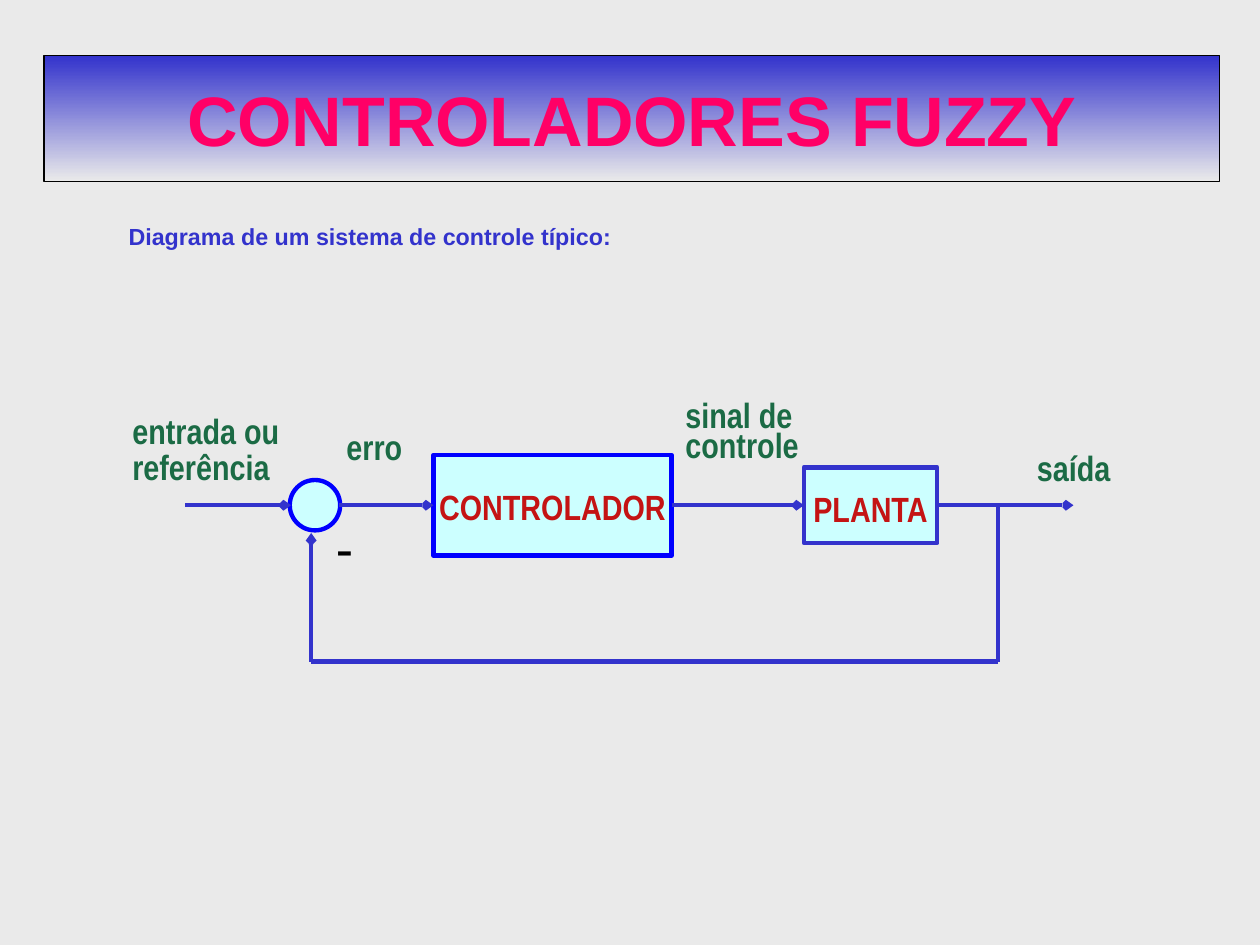
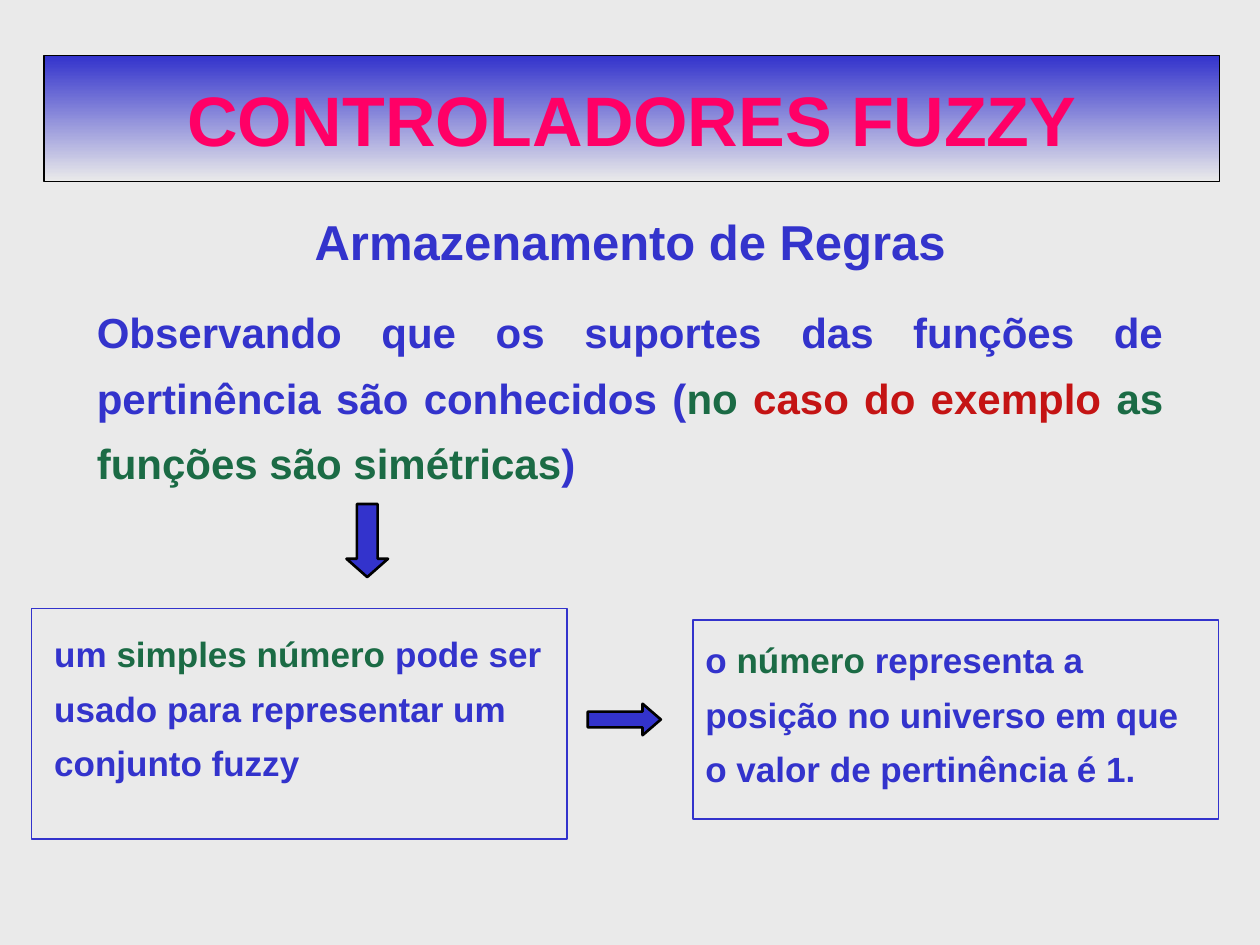
from pptx import Presentation
from pptx.dml.color import RGBColor
from pptx.enum.shapes import MSO_CONNECTOR, MSO_SHAPE
from pptx.enum.text import MSO_ANCHOR, MSO_AUTO_SIZE, PP_ALIGN
from pptx.oxml.ns import qn
from pptx.util import Inches, Pt
from lxml.etree import SubElement

GRAY = RGBColor(0xEA, 0xEA, 0xEA)
BLUE = RGBColor(0x33, 0x33, 0xCC)
BRIGHT_BLUE = RGBColor(0x00, 0x00, 0xFF)
PALE_CYAN = RGBColor(0xCC, 0xFF, 0xFF)
PINK = RGBColor(0xFF, 0x00, 0x66)
RED = RGBColor(0xC4, 0x14, 0x14)
GREEN = RGBColor(0x1B, 0x6B, 0x45)
BLACK = RGBColor(0x00, 0x00, 0x00)

BODY_FONT = "Arial"
DIAGRAM_FONT = "Arial Narrow"
TITLE_AND_BODY, TITLE_ONLY = 1, 5
LEFT, RIGHT = 1, 3
SIGNAL_Y = 4.01
FEEDBACK_Y = 5.25
FEEDBACK_LEFT, FEEDBACK_RIGHT = 2.47, 7.92


def place(shape, left, top, width, height):
    shape.left, shape.top = Inches(left), Inches(top)
    shape.width, shape.height = Inches(width), Inches(height)


def set_insets(frame, left, top, right, bottom):
    frame.margin_left, frame.margin_top = Inches(left), Inches(top)
    frame.margin_right, frame.margin_bottom = Inches(right), Inches(bottom)


def set_font(paragraph, size, color=None, name=BODY_FONT):
    font = paragraph.font
    font.name, font.size, font.bold = name, Pt(size), True
    if color is not None:
        font.color.rgb = color


def indent(paragraph, left):
    properties = paragraph._p.get_or_add_pPr()
    properties.set("marL", str(Inches(left)))
    properties.set("indent", "0")
    return properties


def add_spans(paragraph, spans):
    for text, color in spans:
        span = paragraph.add_run()
        span.text = text
        span.font.color.rgb = color


def add_page(deck, layout):
    page = deck.slides.add_slide(deck.slide_layouts[layout])
    title = page.shapes.title
    place(title, 0.35, 0.44, 9.33, 1)
    title.fill.gradient()
    title.fill.gradient_angle = 270
    for stop, color, position in zip(title.fill.gradient_stops, (BLUE, GRAY), (0, 1)):
        stop.color.rgb, stop.position = color, position
    title.line.color.rgb = BLACK
    title.line.width = Pt(0.75)
    frame = title.text_frame
    frame.text = "CONTROLADORES FUZZY"
    frame.auto_size = MSO_AUTO_SIZE.NONE
    frame.vertical_anchor = MSO_ANCHOR.MIDDLE
    frame.paragraphs[0].alignment = PP_ALIGN.CENTER
    set_font(frame.paragraphs[0], 40, PINK)
    return page


def add_preset(page, preset, area, fill, line, weight):
    shape = page.shapes.add_shape(preset, *map(Inches, area))
    shape.shadow.inherit = False
    if fill is None:
        shape.fill.background()
    else:
        shape.fill.solid()
        shape.fill.fore_color.rgb = fill
    shape.line.color.rgb = line
    shape.line.width = Pt(weight)
    return shape


def add_block(page, text, area, line, inset_top):
    block = add_preset(page, MSO_SHAPE.RECTANGLE, area, PALE_CYAN, line, 2.5)
    frame = block.text_frame
    frame.text = text
    frame.vertical_anchor = MSO_ANCHOR.TOP
    set_insets(frame, 0, inset_top, 0, 0)
    frame.paragraphs[0].alignment = PP_ALIGN.CENTER
    set_font(frame.paragraphs[0], 20, RED, DIAGRAM_FONT)
    return block


def add_label(page, lines, area, size=20, color=GREEN, name=DIAGRAM_FONT):
    box = page.shapes.add_textbox(*map(Inches, area))
    frame = box.text_frame
    frame.word_wrap = True
    set_insets(frame, 0, 0, 0, 0)
    for number, (text, spacing) in enumerate(lines):
        paragraph = frame.add_paragraph() if number else frame.paragraphs[0]
        paragraph.text = text
        paragraph.line_spacing = spacing
        if number:
            paragraph.space_before = Pt(5)
        set_font(paragraph, size, color, name)


def add_signal(page, start, end, arrow=True):
    signal = page.shapes.add_connector(MSO_CONNECTOR.STRAIGHT, *map(Inches, start + end))
    signal.line.color.rgb = BLUE
    signal.line.width = Pt(2.5)
    if arrow:
        SubElement(signal.get_or_add_ln(), qn("a:tailEnd"), type="arrow", w="sm", len="sm")
    SubElement(signal._element.spPr, qn("a:effectLst"))
    return signal


def add_note(page, area, spans, insets, left_indent=0):
    note = add_preset(page, MSO_SHAPE.RECTANGLE, area, None, BLUE, 0.75)
    frame = note.text_frame
    frame.word_wrap = True
    frame.vertical_anchor = MSO_ANCHOR.TOP
    set_insets(frame, *insets)
    paragraph = frame.paragraphs[0]
    indent(paragraph, left_indent)
    paragraph.alignment = PP_ALIGN.LEFT
    paragraph.line_spacing = 1.3
    set_font(paragraph, 20)
    add_spans(paragraph, spans)


def add_block_arrow(page, area, head, rotation=0):
    arrow = add_preset(page, MSO_SHAPE.DOWN_ARROW, area, BLUE, BLACK, 1.5)
    arrow.adjustments[0], arrow.adjustments[1] = 0.5, head
    arrow.rotation = rotation


def add_introduction(page):
    body = page.placeholders[1]
    place(body, 0.92, 1.67, 8.67, 0.58)
    frame = body.text_frame
    frame.text = "Diagrama de um sistema de controle típico:"
    frame.auto_size = MSO_AUTO_SIZE.NONE
    paragraph = frame.paragraphs[0]
    SubElement(indent(paragraph, 0), qn("a:buNone"))
    paragraph.space_before = Pt(0)
    paragraph.line_spacing = 1.2
    set_font(paragraph, 13.3, BLUE)


def add_control_loop(page):
    controller = add_block(page, "CONTROLADOR", (3.44, SIGNAL_Y - 0.4, 1.89, 0.8), BRIGHT_BLUE, 0.24)
    plant = add_block(page, "PLANTA", (6.38, SIGNAL_Y - 0.3, 1.06, 0.6), BLUE, 0.16)
    add_preset(page, MSO_SHAPE.OVAL, (2.3, SIGNAL_Y - 0.2, 0.4, 0.4), PALE_CYAN, BRIGHT_BLUE, 2.5)

    add_label(page, [("-", 1)], (2.67, 4.1, 0.2, 0.47), 28, BLACK, "Times New Roman")
    add_label(page, [("entrada ou", 1), ("referência", 0.6)], (1.05, 3.25, 1.25, 0.6))
    add_label(page, [("saída", 1)], (8.23, 3.54, 0.7, 0.33))
    add_label(page, [("erro", 1)], (2.75, 3.38, 0.6, 0.33))
    add_label(page, [("sinal de", 1.2), ("controle", 0.4)], (5.44, 3.06, 1, 0.6))

    add_signal(page, (1.47, SIGNAL_Y), (2.31, SIGNAL_Y))
    error = add_signal(page, (2.69, SIGNAL_Y), (3.44, SIGNAL_Y))
    error.end_connect(controller, LEFT)
    control = add_signal(page, (5.33, SIGNAL_Y), (6.38, SIGNAL_Y))
    control.begin_connect(controller, RIGHT)
    control.end_connect(plant, LEFT)
    output = add_signal(page, (7.44, SIGNAL_Y), (8.52, SIGNAL_Y))
    output.begin_connect(plant, RIGHT)

    corner_right = (FEEDBACK_RIGHT, FEEDBACK_Y)
    corner_left = (FEEDBACK_LEFT, FEEDBACK_Y)
    add_signal(page, (FEEDBACK_RIGHT, SIGNAL_Y), corner_right, arrow=False)
    add_signal(page, corner_right, corner_left, arrow=False)
    add_signal(page, corner_left, (FEEDBACK_LEFT, 4.23))


def add_rule_text(page):
    box = page.shapes.add_textbox(*map(Inches, (0.25, 1.4, 9.08, 1.94)))
    frame = box.text_frame
    frame.word_wrap = True
    heading, text = frame.paragraphs[0], frame.add_paragraph()
    for paragraph, alignment, spacing, size in (
        (heading, PP_ALIGN.CENTER, 1.5, 28),
        (text, PP_ALIGN.JUSTIFY, 1.3, 24),
    ):
        indent(paragraph, 0.42)
        paragraph.alignment = alignment
        paragraph.line_spacing = spacing
        set_font(paragraph, size, BLUE)
    heading.text = "Armazenamento de Regras"
    heading.space_after = Pt(6)
    text.space_before = Pt(6)
    add_spans(text, [
        ("Observando que os suportes das funções de pertinência são conhecidos (", BLUE),
        ("no ", GREEN),
        ("caso do exemplo", RED),
        (" as funções são simétricas", GREEN),
        (")", BLUE),
    ])


def add_rule_notes(page):
    add_note(page, (0.25, 4.83, 4.25, 1.83), [
        ("um ", BLUE),
        ("simples número", GREEN),
        (" pode ser usado para representar um conjunto fuzzy", BLUE),
    ], (0.08, 0.09, 0.08, 0.05), 0.1)
    add_note(page, (5.5, 4.92, 4.17, 1.58), [
        ("o ", BLUE),
        ("número ", GREEN),
        ("representa a posição no universo em que o valor de pertinência é 1.", BLUE),
    ], (0.1, 0.05, 0.1, 0.05))
    add_block_arrow(page, (2.75, 4, 0.33, 0.58), 0.44)
    add_block_arrow(page, (4.83, 5.42, 0.25, 0.58), 0.58, 270)


def main():
    deck = Presentation()
    deck.slide_width, deck.slide_height = Inches(10), Inches(7.5)
    background = deck.slide_master.background.fill
    background.solid()
    background.fore_color.rgb = GRAY

    diagram_page = add_page(deck, TITLE_AND_BODY)
    add_introduction(diagram_page)
    add_control_loop(diagram_page)

    rules_page = add_page(deck, TITLE_ONLY)
    add_rule_text(rules_page)
    add_rule_notes(rules_page)

    deck.save("out.pptx")


if __name__ == "__main__":
    main()
